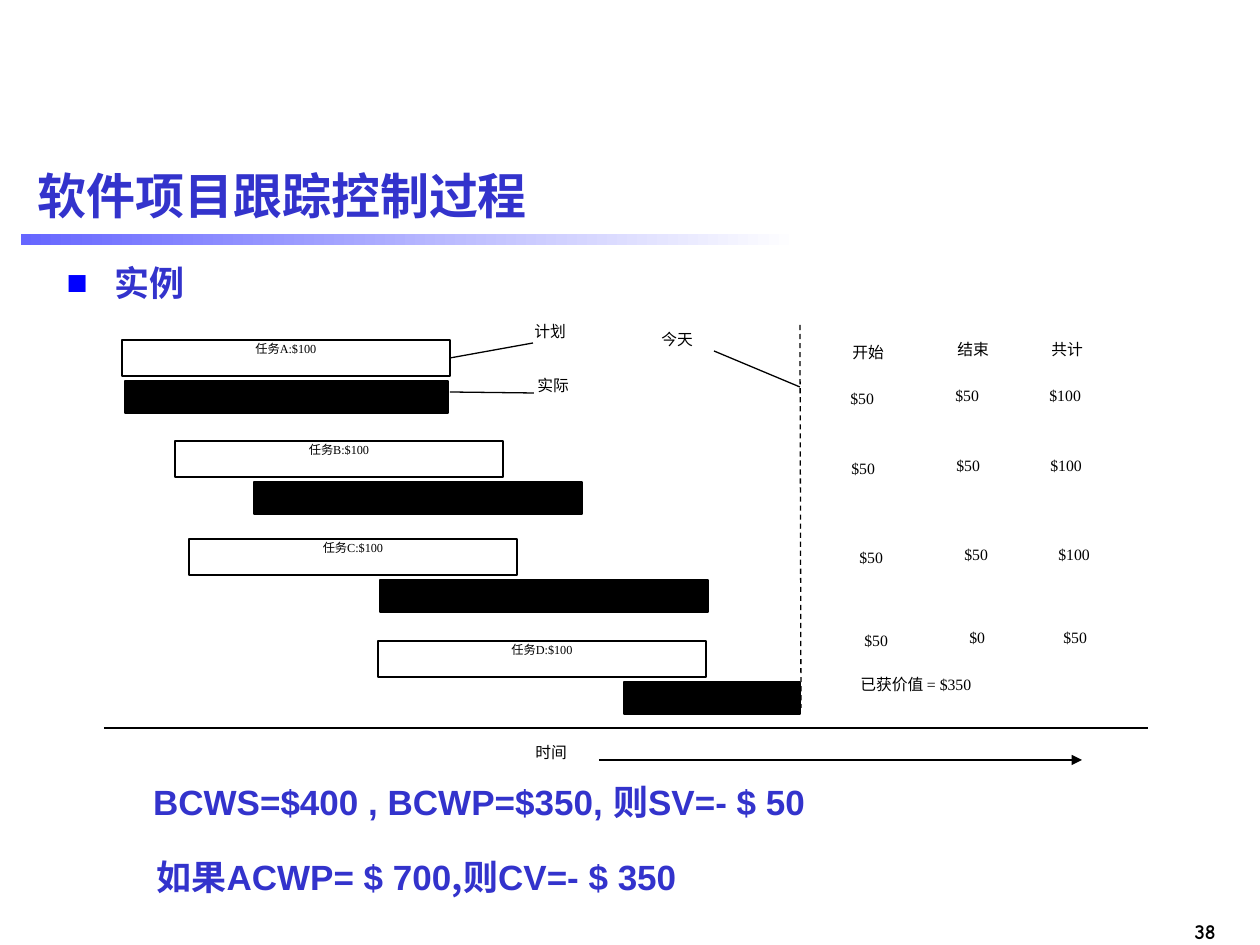
from dataclasses import dataclass

from lxml.etree import SubElement
from pptx import Presentation
from pptx.dml.color import RGBColor
from pptx.enum.dml import MSO_LINE_DASH_STYLE as Dash
from pptx.enum.shapes import MSO_CONNECTOR as Connector, MSO_SHAPE as Preset
from pptx.enum.text import MSO_ANCHOR as Anchor, MSO_AUTO_SIZE as AutoSize, PP_ALIGN as Align
from pptx.oxml.ns import qn
from pptx.util import Emu, Pt

EMU_PER_PX = 914400 / 126


@dataclass(frozen=True)
class Theme:
    ink: str = "000000"
    paper: str = "FFFFFF"
    accent: str = "3333CC"
    bullet: str = "0000FF"
    rule: str = "6666FF"
    heading: str = "Arial"
    chinese: str = "Noto Sans CJK SC"
    label: str = "Times New Roman"
    number: str = "Comic Neue"
    title_size: int = 28
    body_size: int = 20
    number_size: int = 12
    label_size: int = 9
    task_size: int = 7
    line_width: float = 0.75


THEME = Theme()


@dataclass(frozen=True)
class Box:
    left: int
    top: int
    width: int
    height: int

    def inner(self, left, top, width, height):
        return Box(self.left + left, self.top + top, width, height)

    def lengths(self):
        return [px(n) for n in (self.left, self.top, self.width, self.height)]


def px(count):
    return Emu(round(count * EMU_PER_PX))


def apply(target, values):
    for name, value in values.items():
        setattr(target, name, value)


def add_run(paragraph, text, font_name, size, color, bold=False):
    run = paragraph.add_run()
    run.text = text
    apply(run.font, {"name": font_name, "size": Pt(size), "bold": bold})
    run.font.color.rgb = RGBColor.from_string(color)
    SubElement(run.font._element, qn("a:ea"), typeface=THEME.chinese)


def add_rectangle(slide, box, fill, outlined=False):
    shape = slide.shapes.add_shape(Preset.RECTANGLE, *box.lengths())
    shape.shadow.inherit = False
    shape.fill.solid()
    shape.fill.fore_color.rgb = RGBColor.from_string(fill)
    if outlined:
        shape.line.color.rgb = RGBColor.from_string(THEME.ink)
        shape.line.width = Pt(THEME.line_width)
    else:
        shape.line.fill.background()
    return shape


def write(shape, text, size, paragraph_format):
    apply(shape.text_frame, {"word_wrap": True, "vertical_anchor": Anchor.TOP})
    paragraph = shape.text_frame.paragraphs[0]
    apply(paragraph, paragraph_format)
    add_run(paragraph, text, THEME.label, size, THEME.ink)


def add_label(slide, box, text):
    shape = add_rectangle(slide, box, THEME.paper)
    write(shape, text, THEME.label_size, {"alignment": Align.JUSTIFY})


def add_line(slide, box, start, end, dash=None, arrow=False):
    points = [px(n) for x, y in (start, end) for n in (box.left + x, box.top + y)]
    connector = slide.shapes.add_connector(Connector.STRAIGHT, *points)
    connector.line.color.rgb = RGBColor.from_string(THEME.ink)
    apply(connector.line, {"width": Pt(THEME.line_width), "dash_style": dash})
    if arrow:
        SubElement(connector.line._get_or_add_ln(), qn("a:tailEnd"), type="triangle")
    SubElement(connector._element.spPr, qn("a:effectLst"))
    return connector


def fill_placeholder(placeholder, box, text, font_name, size, anchor, bullet=None):
    names = ("left", "top", "width", "height")
    apply(placeholder, dict(zip(names, box.lengths())))
    frame = placeholder.text_frame
    apply(frame, {"word_wrap": True, "auto_size": AutoSize.NONE, "vertical_anchor": anchor})
    paragraph = frame.paragraphs[0]
    apply(paragraph, {"alignment": Align.LEFT, "space_before": Pt(0)})
    properties = paragraph._p.get_or_add_pPr()
    properties.set("marL", str(px(48)))
    properties.set("indent", str(-px(48)))
    if bullet:
        color = SubElement(properties, qn("a:buClr"))
        SubElement(color, qn("a:srgbClr"), val=THEME.bullet)
        SubElement(properties, qn("a:buFont"), typeface=THEME.heading)
        SubElement(properties, qn("a:buChar"), char=bullet)
    add_run(paragraph, text, font_name, size, THEME.accent, True)


def add_heading(slide, box):
    fill_placeholder(slide.shapes.title, box.inner(25, 0, 1211, 100), "软件项目跟踪控制过程",
                     THEME.heading, THEME.title_size, Anchor.MIDDLE)
    fill_placeholder(slide.placeholders[1], box.inner(54, 110, 1181, 690), "实例",
                     THEME.chinese, THEME.body_size, Anchor.TOP, "■")
    rule = add_rectangle(slide, box.inner(21, 89, 778, 11), THEME.rule)
    rule.fill.gradient()
    rule.fill.gradient_angle = 0
    for stop, color in zip(rule.fill.gradient_stops, (THEME.rule, THEME.paper)):
        stop.color.rgb = RGBColor.from_string(color)


def add_schedule(slide, box):
    tasks = (("A", 22, 40, 25, 323), ("B", 75, 141, 154, 328),
             ("C", 89, 239, 280, 328), ("D", 278, 341, 524, 176))
    plans = []
    for name, plan_left, top, actual_left, actual_width in tasks:
        plan = add_rectangle(slide, box.inner(plan_left, top, 328, 36), THEME.paper, True)
        write(plan, f"任务{name}:$100", THEME.task_size,
              {"alignment": Align.CENTER, "line_spacing": 0.64})
        add_rectangle(slide, box.inner(actual_left, top + 41, actual_width, 32), THEME.ink, True)
        plans.append(plan)

    labels = (("计划", 422, 16), ("实际", 425, 70), ("今天", 549, 24), ("时间", 423, 437))
    for text, left, top in labels:
        add_label(slide, box.inner(left, top, 89, 44), text)

    callout = add_line(slide, box, (433, 43), (350, 58))
    callout.end_connect(plans[0], 3)
    add_line(slide, box, (350, 92), (434, 93))
    add_line(slide, box, (614, 51), (700, 87))
    add_line(slide, box, (700, 25), (701, 408), dash=Dash.DASH)
    add_line(slide, box, (4, 428), (1048, 428))
    add_line(slide, box, (499, 460), (982, 460), arrow=True)


def add_value_grid(slide, box):
    rows = ((2, 0, ("开始", "结束", "共计")), (0, 46, ("$50", "$50", "$100")),
            (1, 116, ("$50", "$50", "$100")), (9, 205, ("$50", "$50", "$100")),
            (14, 288, ("$50", "$0", "$50")))
    columns = ((0, 3), (105, 0), (199, 0))
    for row_left, row_top, values in rows:
        for (left, drop), value in zip(columns, values):
            add_label(slide, box.inner(row_left + left, row_top + drop, 89, 44), value)
    add_label(slide, box.inner(10, 335, 271, 44), "已获价值 = $350")


def add_text(slide, box, runs, size, color, alignment=Align.LEFT, inset=None, wrap=True):
    frame = slide.shapes.add_textbox(*box.lengths()).text_frame
    apply(frame, {"word_wrap": wrap, "auto_size": AutoSize.SHAPE_TO_FIT_TEXT})
    if inset is not None:
        sides = ("margin_left", "margin_top", "margin_right", "margin_bottom")
        apply(frame, dict.fromkeys(sides, px(inset)))
    paragraph = frame.paragraphs[0]
    paragraph.alignment = alignment
    for text, font_name in runs:
        add_run(paragraph, text, font_name, size, color, True)


def add_conclusions(slide, box):
    add_text(slide, box.inner(0, 0, 712, 42),
             [("BCWS=$400 , BCWP=$350, 则SV=- $ 50", THEME.heading)],
             THEME.body_size, THEME.accent, Align.CENTER, inset=0)
    add_text(slide, box.inner(21, 69, 766, 54),
             [("如果", THEME.chinese), ("ACWP= $ 700", THEME.heading),
              (",则", THEME.chinese), ("CV=- $ 350", THEME.heading)],
             THEME.body_size, THEME.accent)


def main():
    presentation = Presentation()
    apply(presentation, {"slide_width": px(1260), "slide_height": px(945)})
    slide = presentation.slides.add_slide(presentation.slide_layouts[1])
    add_heading(slide, Box(0, 145, 1260, 800))
    add_schedule(slide, Box(100, 300, 1060, 490))
    add_value_grid(slide, Box(838, 334, 302, 379))
    add_conclusions(slide, Box(123, 780, 787, 123))
    add_text(slide, Box(1159, 912, 69, 38 - 5), [("38", THEME.number)],
             THEME.number_size, THEME.ink, Align.RIGHT, wrap=False)
    presentation.save("out.pptx")


if __name__ == "__main__":
    main()
